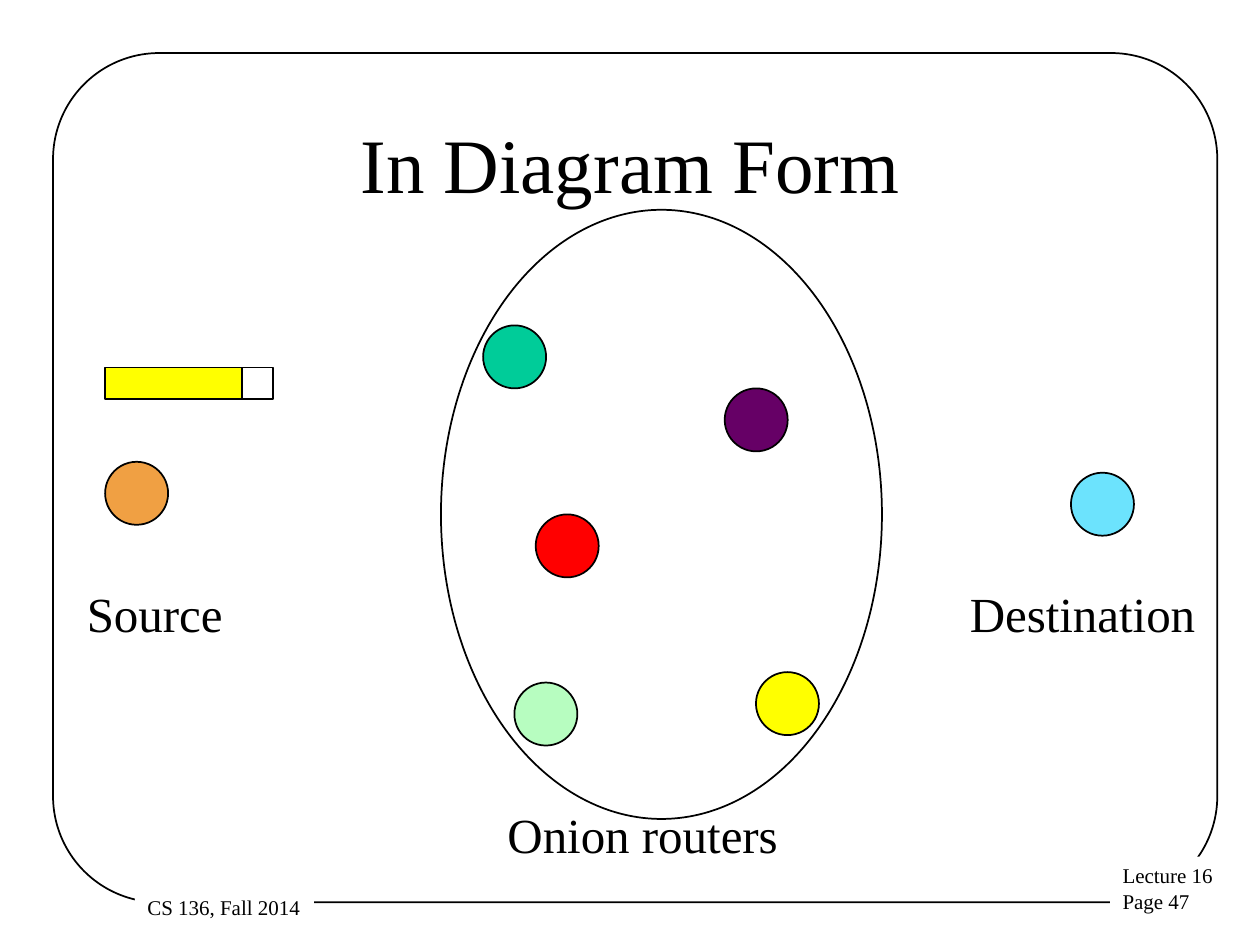
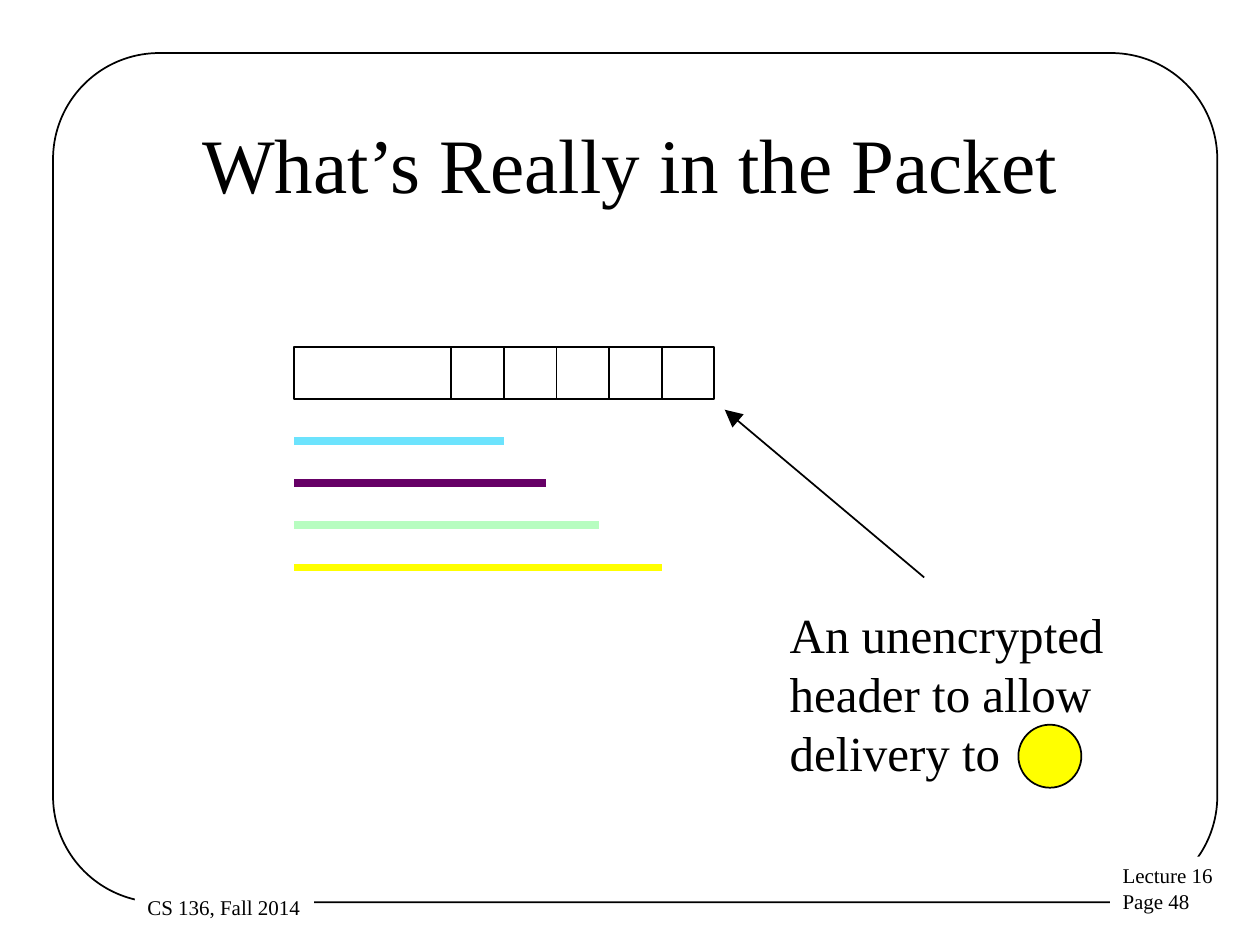
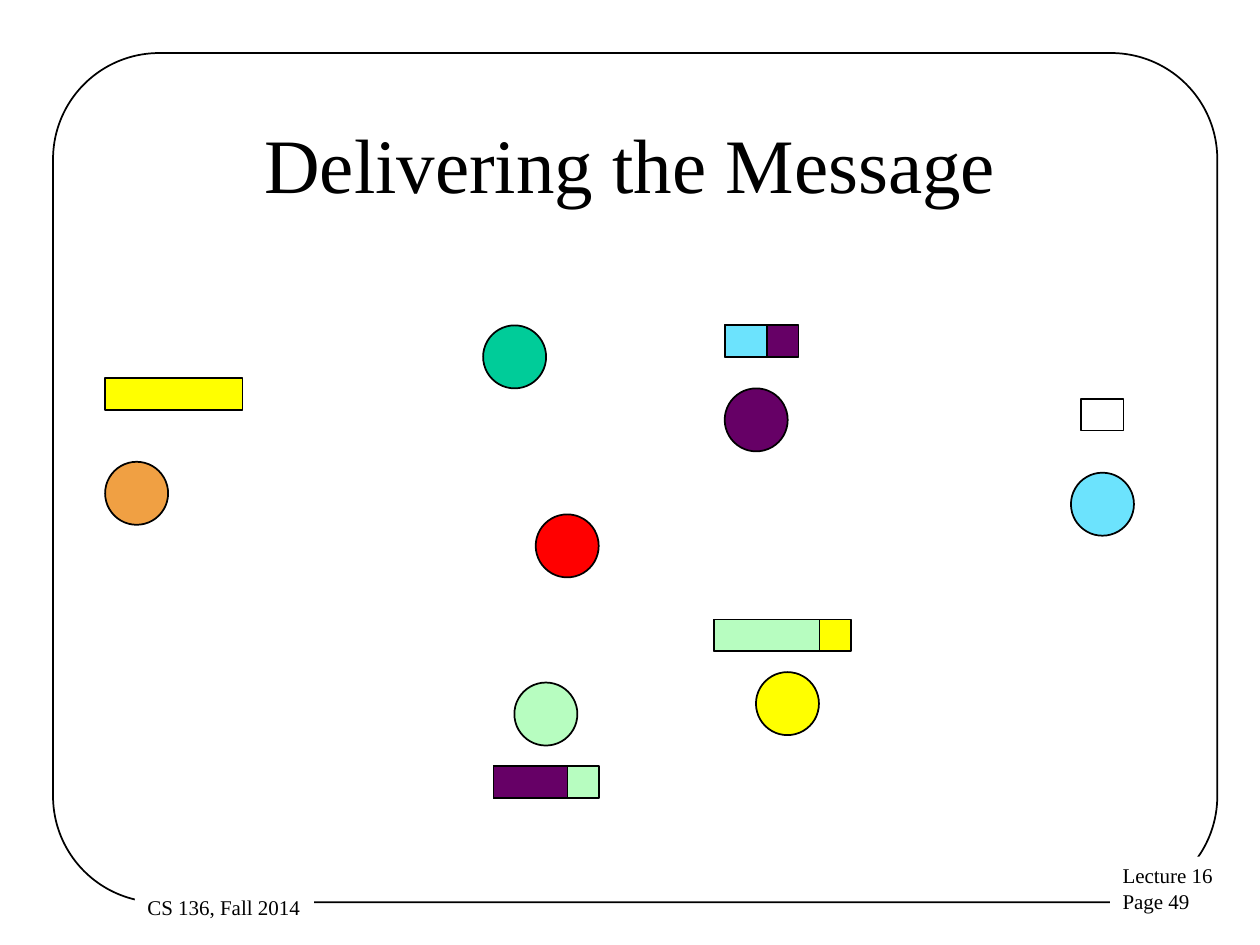
"""Build three slides on onion routing with a shared frame, title and footers."""
from dataclasses import dataclass
from typing import Optional

import lxml.etree
import pptx
import pptx.dml.color
import pptx.enum.shapes
import pptx.enum.text
import pptx.oxml.ns
import pptx.util

Cm = pptx.util.Cm
RGBColor = pptx.dml.color.RGBColor
SHAPE = pptx.enum.shapes.MSO_SHAPE
ALIGN = pptx.enum.text.PP_ALIGN
ANCHOR = pptx.enum.text.MSO_ANCHOR

BLACK = RGBColor(0x00, 0x00, 0x00)
WHITE = RGBColor(0xFF, 0xFF, 0xFF)
GREEN = RGBColor(0x00, 0xCC, 0x99)
RED = RGBColor(0xFF, 0x00, 0x00)
PURPLE = RGBColor(0x66, 0x00, 0x66)
YELLOW = RGBColor(0xFF, 0xFF, 0x00)
ORANGE = RGBColor(0xF0, 0xA0, 0x43)
BLUE = RGBColor(0x6C, 0xE3, 0xFD)
MINT = RGBColor(0xB7, 0xFD, 0xC0)

FONT = "Times New Roman"
TITLE_SIZE, LABEL_SIZE, FOOTER_SIZE = 44, 28, 12
FIRST_PAGE = 47

NODE_SIZE = 1.27
PACKET_HEIGHT = 0.64
PAYLOAD_WIDTH = 0.85
HEADER_WIDTH = 0.64
LAYERS = (BLUE, PURPLE, MINT, YELLOW)


@dataclass(frozen=True)
class Box:
    """An outlined preset shape, measured in centimetres."""
    x: float
    y: float
    w: float
    h: float
    fill: Optional[RGBColor] = None
    kind: SHAPE = SHAPE.RECTANGLE


@dataclass(frozen=True)
class Label:
    """A text box, measured in centimetres, with one paragraph per line."""
    x: float
    y: float
    w: float
    h: float
    lines: tuple[str, ...]
    size: int = LABEL_SIZE
    wrap: bool = False
    fill: Optional[RGBColor] = None
    align: ALIGN = ALIGN.LEFT
    anchor: ANCHOR = ANCHOR.TOP


@dataclass(frozen=True)
class Node:
    """A round network node."""
    x: float
    y: float
    color: RGBColor


@dataclass(frozen=True)
class Packet:
    """A packet whose encryption layers are listed from the outside in."""
    x: float
    y: float
    layers: tuple[RGBColor, ...]


@dataclass(frozen=True)
class Line:
    """A straight line, measured in centimetres."""
    x1: float
    y1: float
    x2: float
    y2: float
    color: RGBColor = BLACK
    width: float = 1
    arrow_at_start: bool = False


NODES = (
    Node(9.74, 6.56, GREEN),
    Node(10.8, 10.37, RED),
    Node(14.61, 7.83, PURPLE),
    Node(15.24, 13.55, YELLOW),
    Node(2.12, 9.31, ORANGE),
    Node(21.59, 9.53, BLUE),
    Node(10.37, 13.76, MINT),
)


def add_box(s: pptx.slide.Slide, box: Box) -> pptx.shapes.autoshape.Shape:
    """Draw an outlined shape, filled when a colour is given."""
    sp = s.shapes.add_shape(box.kind, Cm(box.x), Cm(box.y), Cm(box.w), Cm(box.h))
    sp.shadow.inherit = False
    if box.fill is None:
        sp.fill.background()
    else:
        sp.fill.solid()
        sp.fill.fore_color.rgb = box.fill
    sp.line.color.rgb = BLACK
    sp.line.width = pptx.util.Pt(1)
    return sp


def add_label(s: pptx.slide.Slide, label: Label) -> None:
    """Write a text box."""
    sp = s.shapes.add_textbox(Cm(label.x), Cm(label.y), Cm(label.w), Cm(label.h))
    if label.fill is not None:
        sp.fill.solid()
        sp.fill.fore_color.rgb = label.fill
    tf = sp.text_frame
    tf.word_wrap = label.wrap
    tf.vertical_anchor = label.anchor
    for i, line in enumerate(label.lines):
        p = tf.add_paragraph() if i else tf.paragraphs[0]
        p.alignment = label.align
        r = p.add_run()
        r.text = line
        r.font.name = FONT
        r.font.size = pptx.util.Pt(label.size)
        r.font.color.rgb = BLACK


def add_node(s: pptx.slide.Slide, node: Node) -> None:
    """Draw a network node."""
    add_box(s, Box(node.x, node.y, NODE_SIZE, NODE_SIZE, node.color, SHAPE.OVAL))


def add_packet(s: pptx.slide.Slide, packet: Packet) -> None:
    """Draw a packet, each inner layer one header shorter than the outer."""
    for color in packet.layers:
        width = PAYLOAD_WIDTH + LAYERS.index(color) * HEADER_WIDTH
        add_box(s, Box(packet.x, packet.y, width, PACKET_HEIGHT, color))


def add_line(s: pptx.slide.Slide, line: Line) -> None:
    """Draw a straight line, with an arrowhead at its start if asked."""
    sp = s.shapes.add_connector(
        pptx.enum.shapes.MSO_CONNECTOR.STRAIGHT,
        Cm(line.x1), Cm(line.y1), Cm(line.x2), Cm(line.y2))
    sp.line.color.rgb = line.color
    sp.line.width = pptx.util.Pt(line.width)
    qn = pptx.oxml.ns.qn
    spPr = sp._element.spPr
    if line.arrow_at_start:
        lxml.etree.SubElement(spPr.find(qn("a:ln")), qn("a:headEnd"),
                              type="triangle", w="lg", len="lg")
    lxml.etree.SubElement(spPr, qn("a:effectLst"))


def add_page(prs: pptx.presentation.Presentation, title: str) -> pptx.slide.Slide:
    """Add a slide with the frame, footers and title."""
    s = prs.slides.add_slide(prs.slide_layouts[6])
    page = FIRST_PAGE + len(prs.slides) - 1
    frame = add_box(s, Box(1.07, 1.07, 23.47, 17.12, kind=SHAPE.ROUNDED_RECTANGLE))
    frame.adjustments[0] = 0.125
    add_label(s, Label(22.38, 17.27, 3.02, 1.27, ("Lecture 16", f"Page {page}"),
                       FOOTER_SIZE, wrap=True, fill=WHITE))
    add_label(s, Label(2.72, 17.91, 3.61, 0.76, ("CS 136, Fall 2014",),
                       FOOTER_SIZE, fill=WHITE))
    add_label(s, Label(1.91, 1.7, 21.59, 3.18, (title,), TITLE_SIZE, wrap=True,
                       align=ALIGN.CENTER, anchor=ANCHOR.MIDDLE))
    return s


def build_diagram(prs: pptx.presentation.Presentation) -> None:
    """Show the source, the onion routers and the destination."""
    s = add_page(prs, "In Diagram Form")
    for node in NODES:
        add_node(s, node)
    add_label(s, Label(1.5, 11.63, 3.3, 1.45, ("Source",)))
    add_label(s, Label(19.3, 11.63, 5.1, 1.45, ("Destination",)))
    add_label(s, Label(9.98, 16.1, 6.2, 1.45, ("Onion routers",)))
    add_box(s, Box(8.89, 4.23, 8.89, 12.28, kind=SHAPE.OVAL))
    add_packet(s, Packet(2.12, 7.41, (YELLOW,)))
    add_box(s, Box(4.87, 7.41, HEADER_WIDTH, PACKET_HEIGHT))


def build_packet_contents(prs: pptx.presentation.Presentation) -> None:
    """Show the headers of the packet and what each layer encrypts."""
    s = add_page(prs, "What’s Really in the Packet")
    left, top, cell = 5.93, 6.99, 1.06
    add_box(s, Box(left, top, 4.23, cell))
    for i in range(5):
        add_box(s, Box(9.1 + i * cell, top, cell, cell, WHITE))
    for i, (color, right) in enumerate(zip(LAYERS, (10.16, 11.01, 12.07, 13.34))):
        y = 8.89 + i * 0.85
        add_line(s, Line(left, y, right, y, color, 4.5))
    add_line(s, Line(14.61, 8.26, 18.63, 11.64, arrow_at_start=True))
    add_label(s, Label(15.67, 12.07, 8.26, 3.81,
                       ("An unencrypted header to allow delivery to",), wrap=True))
    add_node(s, Node(20.53, 14.61, YELLOW))


def build_delivery(prs: pptx.presentation.Presentation) -> None:
    """Show the packet losing one layer at each router."""
    s = add_page(prs, "Delivering the Message")
    for node in NODES:
        add_node(s, node)
    for packet in (
        Packet(2.12, 7.62, (YELLOW,)),
        Packet(14.39, 12.49, (YELLOW, MINT)),
        Packet(9.95, 15.45, (MINT, PURPLE)),
        Packet(14.61, 6.56, (PURPLE, BLUE)),
    ):
        add_packet(s, packet)
    add_box(s, Box(21.8, 8.04, PAYLOAD_WIDTH, PACKET_HEIGHT, WHITE))


def main() -> None:
    """Build and save the presentation."""
    prs = pptx.Presentation()
    prs.slide_width, prs.slide_height = Cm(25.4), Cm(19.05)
    build_diagram(prs)
    build_packet_contents(prs)
    build_delivery(prs)
    prs.save("out.pptx")


if __name__ == "__main__":
    main()
